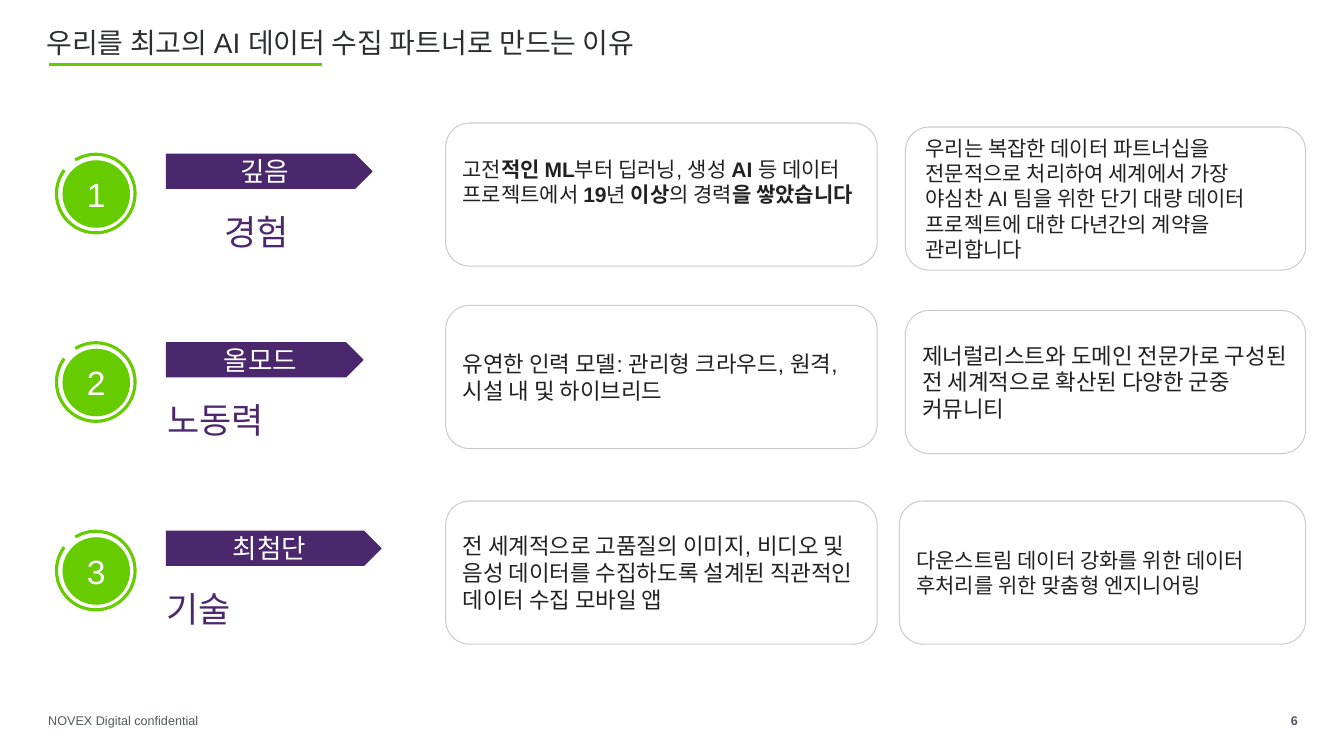
from lxml.etree import SubElement
from pptx import Presentation
from pptx.dml.color import RGBColor
from pptx.enum.shapes import MSO_CONNECTOR, MSO_SHAPE
from pptx.enum.text import MSO_ANCHOR, PP_ALIGN
from pptx.oxml.ns import qn
from pptx.util import Inches, Pt

GREEN = RGBColor(0x66, 0xCC, 0x00)
PURPLE = RGBColor(0x4B, 0x28, 0x6D)
WHITE = RGBColor(0xFF, 0xFF, 0xFF)
BORDER = RGBColor(0xCC, 0xCC, 0xCC)
INK = RGBColor(0x21, 0x21, 0x21)
TITLE_INK = RGBColor(0x2C, 0x2E, 0x30)
GRAY = RGBColor(0x54, 0x59, 0x5F)

FIRST_ROW, ROW_PITCH = 1.53, 1.87
CARD_HEIGHT = 1.42

# Each row: banner, banner width, label, label left, label width, label alignment
ROWS = [
    ("깊음", 2.04, "경험", 1.4, 2.29, PP_ALIGN.CENTER),
    ("올모드", 1.95, "노동력", 1.56, 2.04, PP_ALIGN.LEFT),
    ("최첨단", 2.13, "기술", 1.55, 2.23, PP_ALIGN.LEFT),
]

# Each card: left, top, width, size, inset, bottom inset, (text, bold) spans
CARDS = [
    (4.42, 1.22, 4.28, 15, 0.1, 0.35, [
        ("고전", False), ("적인 ML", True), ("부터 딥러닝, 생성", False),
        (" AI", True), (" 등 데이터 프로젝트에서", False), (" 19", True),
        ("년", False), (" 이상", True), ("의 경력", False),
        ("을 쌓았습니다", True)]),
    (4.42, 3.03, 4.28, 16, 0.1, 0.1, [
        ("유연한 인력 모델: 관리형 크라우드, 원격, 시설 내 및 하이브리드", False)]),
    (4.42, 4.97, 4.28, 16, 0.1, 0.1, [
        ("전 세계적으로 고품질의 이미지, 비디오 및 음성 데이터를 수집하도록 "
         "설계된 직관적인 데이터 수집 모바일 앱", False)]),
    (8.98, 1.26, 3.97, 15, 0.13, 0.13, [
        ("우리는 복잡한 데이터 파트너십을 전문적으로 처리하여 세계에서 가장 "
         "야심찬 AI 팀을 위한 단기 대량 데이터 프로젝트에 대한 다년간의 "
         "계약을 관리합니다", False)]),
    (8.98, 3.08, 3.97, 16, 0.1, 0.1, [
        ("제너럴리스트와 도메인 전문가로 구성된 전 세계적으로 확산된 다양한 "
         "군중 커뮤니티", False)]),
    (8.92, 4.97, 4.03, 15, 0.1, 0.1, [
        ("다운스트림 데이터 강화를 위한 데이터 후처리를 위한 맞춤형 "
         "엔지니어링", False)]),
]


def write(box, spans, size, color, align=PP_ALIGN.LEFT, inset=0.1,
          anchor=MSO_ANCHOR.MIDDLE, spacing=None):
    """Fill a box with one paragraph of (text, bold) spans."""
    frame = box.text_frame
    frame.word_wrap = True
    frame.vertical_anchor = anchor
    frame.margin_left = frame.margin_right = Inches(inset)
    frame.margin_top = frame.margin_bottom = Inches(inset)
    para = frame.paragraphs[0]
    para.alignment = align
    para.line_spacing = spacing
    for text, bold in spans:
        span = para.add_run()
        span.text = text
        span.font.name = "Arial"
        span.font.size = Pt(size)
        span.font.bold = bold
        span.font.color.rgb = color


def add_text(page, text, left, top, width, height, size, color, bold=False,
             **style):
    """Add a text box."""
    box = page.shapes.add_textbox(Inches(left), Inches(top), Inches(width),
                                  Inches(height))
    write(box, [(text, bold)], size, color, **style)


def add_figure(page, preset, left, top, width, height, fill=None, line=None,
               weight=0.75):
    """Add a preset shape without shadow."""
    figure = page.shapes.add_shape(preset, Inches(left), Inches(top),
                                   Inches(width), Inches(height))
    figure.shadow.inherit = False
    if fill is None:
        figure.fill.background()
    else:
        figure.fill.solid()
        figure.fill.fore_color.rgb = fill
    if line is None:
        figure.line.fill.background()
    else:
        figure.line.color.rgb = line
        figure.line.width = Pt(weight)
    return figure


def add_title(page, text):
    """Place the title and the green rule under it."""
    title = page.shapes.title
    title.left, title.top = Inches(0.36), Inches(0.15)
    title.width, title.height = Inches(7.73), Inches(0.58)
    write(title, [(text, False)], 20, TITLE_INK, spacing=0.9)
    rule = page.shapes.add_connector(MSO_CONNECTOR.STRAIGHT, Inches(0.49),
                                     Inches(0.64), Inches(3.19), Inches(0.64))
    rule.line.color.rgb = GREEN
    rule.line.width = Pt(1.5)
    SubElement(rule._element.spPr, qn("a:effectLst"))


def add_badge(page, number, top):
    """Add a numbered disc inside an open ring."""
    ring = add_figure(page, MSO_SHAPE.ARC, 0.56, top, 0.78, 0.78, line=GREEN,
                      weight=2.25)
    ring.adjustments[0] = 143.15
    ring.adjustments[1] = 129.96
    disc = add_figure(page, MSO_SHAPE.OVAL, 0.62, top + 0.06, 0.67, 0.67, GREEN)
    write(disc, [(str(number), False)], 24, WHITE, PP_ALIGN.CENTER, 0.13)


def add_banner(page, text, top, width):
    """Add a purple pointed banner."""
    banner = add_figure(page, MSO_SHAPE.PENTAGON, 1.65, top, width, 0.34,
                        PURPLE, PURPLE)
    write(banner, [(text, False)], 19, WHITE, PP_ALIGN.CENTER, 0.13)


def add_card(page, left, top, width, size, inset, bottom, spans):
    """Add an outlined rounded card."""
    card = add_figure(page, MSO_SHAPE.ROUNDED_RECTANGLE, left, top, width,
                      CARD_HEIGHT, line=BORDER)
    write(card, spans, size, INK, inset=inset)
    card.text_frame.margin_bottom = Inches(bottom)


def main():
    """Build the slide and save it."""
    deck = Presentation()
    deck.slide_width, deck.slide_height = Inches(13.33), Inches(7.5)
    page = deck.slides.add_slide(deck.slide_layouts[5])
    add_title(page, "우리를 최고의 AI 데이터 수집 파트너로 만드는 이유")
    for index, (banner, width, label, left, span, align) in enumerate(ROWS):
        top = FIRST_ROW + index * ROW_PITCH
        add_badge(page, index + 1, top)
        add_text(page, label, left, top + 0.25, span, 0.67, 25, PURPLE,
                 align=align, anchor=MSO_ANCHOR.TOP, spacing=1.5)
        add_banner(page, banner, top, width)
    for card in CARDS:
        add_card(page, *card)
    add_text(page, "NOVEX Digital confidential", 0.38, 7.02, 3.02, 0.25, 9,
             GRAY)
    add_text(page, "6", 12.22, 6.95, 0.75, 0.4, 9, GRAY, bold=True,
             align=PP_ALIGN.RIGHT)
    deck.save("out.pptx")


if __name__ == "__main__":
    main()
